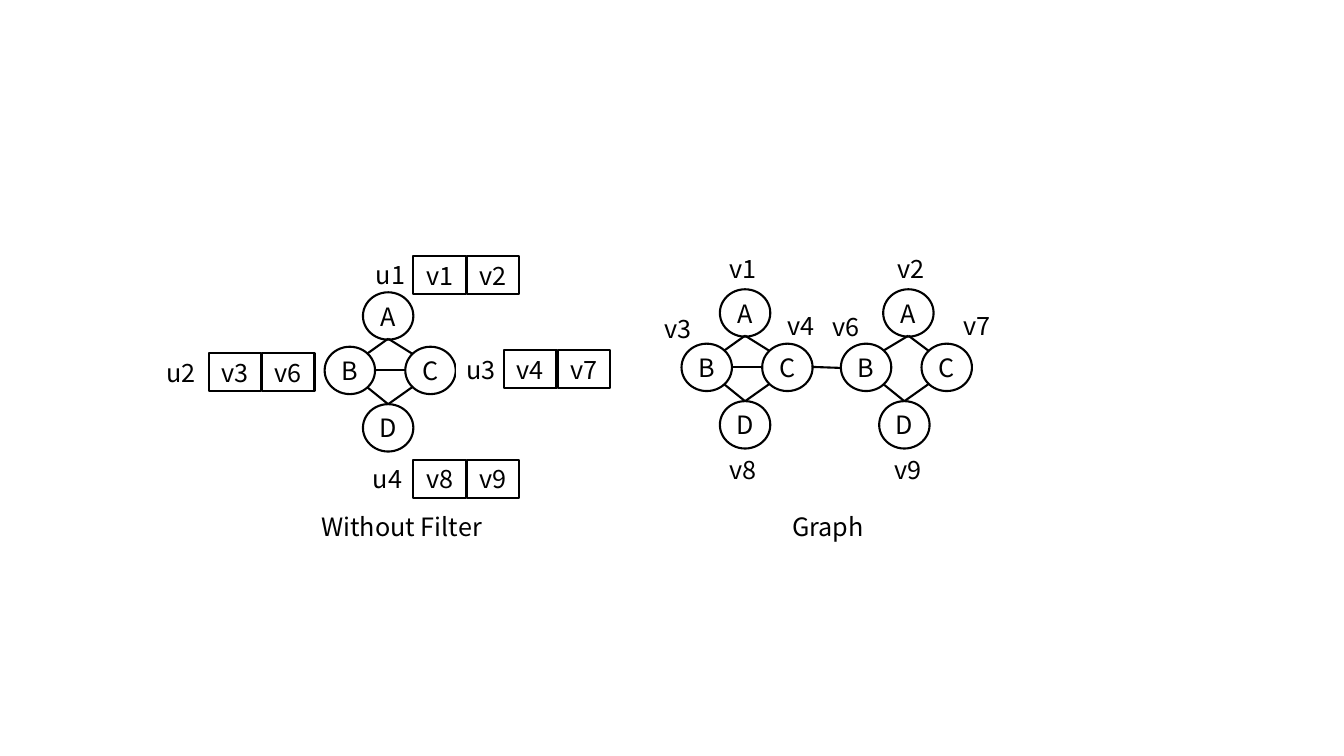
from lxml import etree
from pptx import Presentation
from pptx.dml.color import RGBColor
from pptx.enum.shapes import MSO_CONNECTOR, MSO_SHAPE
from pptx.enum.text import MSO_ANCHOR, MSO_AUTO_SIZE, PP_ALIGN
from pptx.oxml.ns import qn
from pptx.util import Pt

BLACK = RGBColor(0, 0, 0)
WHITE = RGBColor(255, 255, 255)
OVAL, RECT = MSO_SHAPE.OVAL, MSO_SHAPE.RECTANGLE
LINE = MSO_CONNECTOR.STRAIGHT
CENTER = PP_ALIGN.CENTER
MIDDLE = MSO_ANCHOR.MIDDLE
GROW = MSO_AUTO_SIZE.SHAPE_TO_FIT_TEXT
SCALE = 9144


class Sketch:
    font = "Noto Sans CJK SC"
    size = Pt(18)
    weight = Pt(1.5)

    def __init__(self, slide):
        self.shapes = slide.shapes

    def px(self, *sizes):
        return [size * SCALE for size in sizes]

    def words(self, frame, text):
        run = frame.paragraphs[0].add_run()
        run.text = text
        run.font.name = self.font
        run.font.size = self.size
        run.font.color.rgb = BLACK

    def shape(self, kind, text, x, y, w, h):
        shape = self.shapes.add_shape(kind, *self.px(x, y, w, h))
        shape.shadow.inherit = False
        shape.fill.solid()
        shape.fill.fore_color.rgb = WHITE
        shape.line.color.rgb = BLACK
        shape.line.width = self.weight
        frame = shape.text_frame
        frame.margin_left = frame.margin_right = 0
        frame.margin_top = frame.margin_bottom = 0
        frame.vertical_anchor = MIDDLE
        frame.paragraphs[0].alignment = CENTER
        self.words(frame, text)

    def node(self, text, x, y):
        self.shape(OVAL, text, x, y, 50, 47)

    def pair(self, names, x, y):
        for i, name in enumerate(names):
            self.shape(RECT, name, x + 53 * i, y, 52, 38)

    def label(self, text, x, y, w=62, edge=None):
        box = self.shapes.add_textbox(*self.px(x, y, w, 40))
        if edge is not None:
            box.line.color.rgb = edge
            box.line.width = Pt(0.75)
        box.text_frame.word_wrap = True
        box.text_frame.auto_size = GROW
        self.words(box.text_frame, text)

    def edge(self, x1, y1, x2, y2):
        line = self.shapes.add_connector(LINE, *self.px(x1, y1, x2, y2))
        line.line.color.rgb = BLACK
        line.line.width = self.weight
        props = line._element.find(qn("p:spPr"))
        etree.SubElement(props, qn("a:effectLst"))

    def diamond(self, x, y, lean=0, bar=True):
        self.node("A", x + 38 + lean, y)
        self.node("C", x + 80, y + 54)
        self.node("B", x, y + 54)
        self.node("D", x + 38, y + 111)
        for side in (42, 87):
            self.edge(x + 63 + lean, y + 46, x + side, y + 61)
            self.edge(x + side, y + 94, x + 63, y + 111)
        if bar:
            self.edge(x + 50, y + 77, x + 80, y + 77)


def main():
    deck = Presentation()
    deck.slide_width, deck.slide_height = 1333 * SCALE, 750 * SCALE
    art = Sketch(deck.slides.add_slide(deck.slide_layouts[6]))

    art.diamond(676, 287)
    art.diamond(834, 287, lean=4, bar=False)
    art.edge(805, 364, 834, 365)
    for name, x, y in (
        ("v1", 714, 246), ("v2", 880, 246), ("v3", 649, 306),
        ("v4", 771, 303), ("v6", 816, 304), ("v7", 946, 303),
        ("v8", 714, 446), ("v9", 877, 446),
    ):
        art.label(name, x, y)
    art.label("Graph", 776, 502, 186)

    art.diamond(322, 290)
    art.label("u1", 363, 252)
    art.label("u2", 155, 350)
    art.label("u3", 453, 347, edge=WHITE)
    art.label("u4", 360, 455)
    art.label("Without Filter", 309, 502, 186)
    for names, x, y in (
        (("v1", "v2"), 410, 254),
        (("v8", "v9"), 410, 456),
        (("v4", "v7"), 500, 347),
        (("v3", "v6"), 207, 350),
    ):
        art.pair(names, x, y)

    deck.save("out.pptx")


if __name__ == "__main__":
    main()
